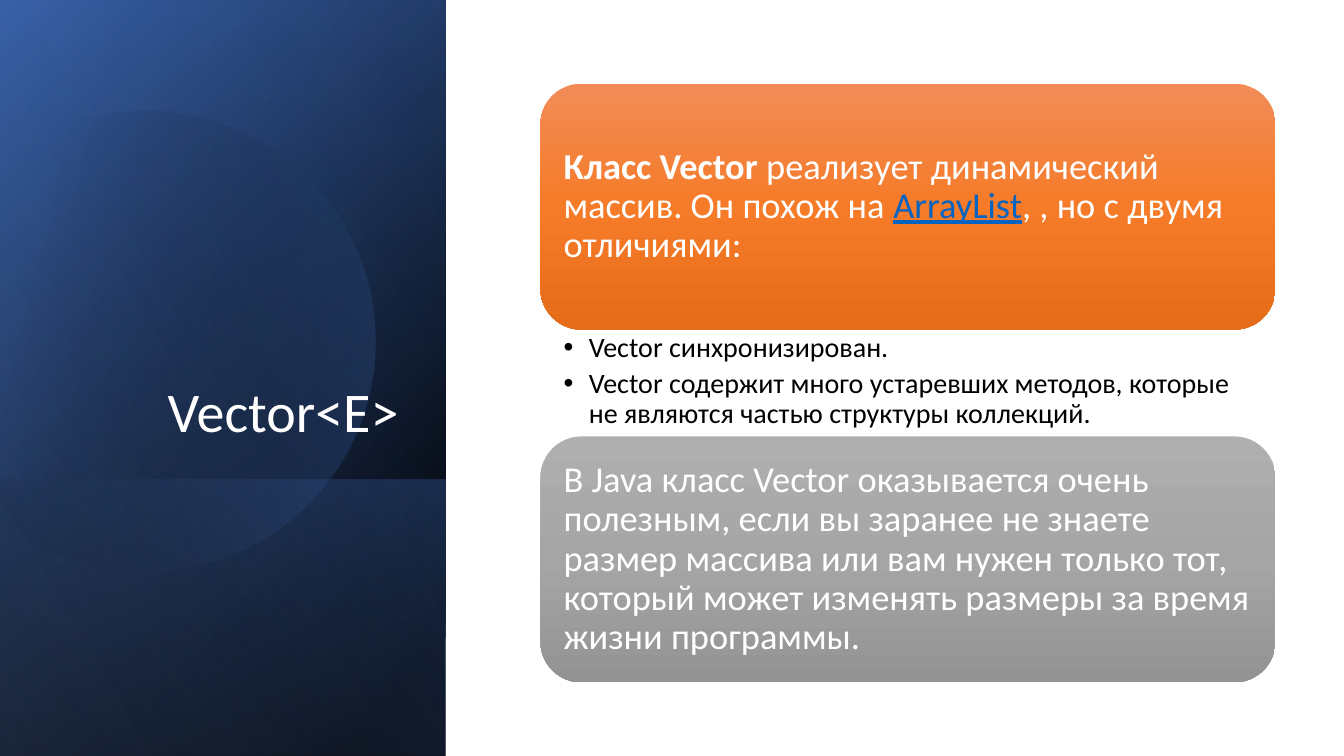
from math import cos, radians, sin

from lxml import etree
from pptx import Presentation
from pptx.dml.color import RGBColor
from pptx.enum.shapes import MSO_SHAPE
from pptx.enum.text import MSO_ANCHOR, PP_ALIGN
from pptx.oxml.ns import qn
from pptx.util import Inches, Pt

RECT, ROUND = MSO_SHAPE.RECTANGLE, MSO_SHAPE.ROUNDED_RECTANGLE
TOP, MIDDLE, BOTTOM = MSO_ANCHOR.TOP, MSO_ANCHOR.MIDDLE, MSO_ANCHOR.BOTTOM
LEFT, RIGHT = PP_ALIGN.LEFT, PP_ALIGN.RIGHT

BLACK = RGBColor(0x00, 0x00, 0x00)
WHITE = RGBColor(0xFF, 0xFF, 0xFF)
NAVY = RGBColor(0x2F, 0x55, 0x97)
BLUE = RGBColor(0x44, 0x72, 0xC4)
SKY = RGBColor(0x8F, 0xAA, 0xDC)
LINK = RGBColor(0x05, 0x63, 0xC1)
ORANGE = [(0, RGBColor(0xF1, 0x8C, 0x57), 100),
          (50, RGBColor(0xF6, 0x7B, 0x28), 100),
          (100, RGBColor(0xE5, 0x6C, 0x19), 100)]
GRAY = [(0, RGBColor(0xAF, 0xAF, 0xAF), 100),
        (50, RGBColor(0xA5, 0xA5, 0xA5), 100),
        (100, RGBColor(0x93, 0x93, 0x93), 100)]

PANELS = [
    ((-1.54, 1.54, 7.5, 4.42), [(8, BLACK, 100), (100, NAVY, 100)], 50),
    ((-1.54, 1.55, 7.5, 4.42), [(0, BLACK, 0), (99, BLUE, 46)], 30),
    ((0.84, 3.92, 2.74, 4.42), [(2, BLUE, 29), (100, BLACK, 30)], 130),
]
GLOW = ((-1.54, 1.54, 7.5, 4.42), [(0, BLACK, 0), (99, SKY, 11)], 120)

DISC = (-0.55, 1.06, 4.27, 4.57)
TILT = 343.9
RIM = [
    ("moveTo", [(1.49, 1.1)]),
    ("cubicBezTo", [(2.46, 1.12), (3.35, 1.77), (3.63, 2.75)]),
    ("cubicBezTo", [(3.98, 3.97), (3.28, 5.23), (2.07, 5.58)]),
    ("cubicBezTo", [(1.31, 5.8), (0.53, 5.61), (-0.03, 5.14)]),
    ("lnTo", [(-0.15, 5.03)]),
    ("lnTo", [(-0.15, 1.75)]),
    ("lnTo", [(0, 1.61)]),
    ("cubicBezTo", [(0.23, 1.42), (0.5, 1.28), (0.8, 1.19)]),
    ("cubicBezTo", [(1.03, 1.13), (1.26, 1.1), (1.49, 1.1)]),
    ("close", []),
]

INTRO = [[("Класс Vector ", {"bold": True}),
          ("реализует динамический массив. Он похож на ", {}),
          ("ArrayList", {"color": LINK, "under": True}),
          (", , но с двумя отличиями:", {})]]
POINTS = [[("Vector синхронизирован.", {})],
          [("Vector содержит много устаревших методов, которые "
            "не являются частью структуры коллекций.", {})]]
USAGE = [[("В Java класс Vector оказывается очень полезным, если вы заранее "
           "не знаете размер массива или вам нужен только тот, который может "
           "изменять размеры за время жизни программы.", {})]]


def write(frame, text, size=26, color=WHITE, align=LEFT, anchor=MIDDLE,
          inset=(0.11, 0.11, 0.11, 0.11), after=0, bullet=False):
    frame.word_wrap = True
    frame.vertical_anchor = anchor
    (frame.margin_left, frame.margin_top,
     frame.margin_right, frame.margin_bottom) = map(Inches, inset)
    for i, runs in enumerate(text):
        para = frame.add_paragraph() if i else frame.paragraphs[0]
        para.alignment = align
        para.line_spacing = 0.9
        para.space_after = Pt(after)
        if bullet:
            props = para._p.get_or_add_pPr()
            props.set("lvl", "1")
            props.set("marL", str(Inches(0.25)))
            props.set("indent", str(Inches(-0.25)))
            etree.SubElement(props, qn("a:buFont"), typeface="Arial")
            etree.SubElement(props, qn("a:buChar"), char="•")
        for words, look in runs:
            run = para.add_run()
            run.text = words
            font = run.font
            font.name = "Calibri"
            font.size = Pt(size)
            font.bold = look.get("bold", False)
            font.underline = look.get("under", False)
            font.color.rgb = look.get("color", color)


def place(point, box, angle):
    left, top, width, height = box
    dx, dy = point[0] - left - width / 2, point[1] - top - height / 2
    c, s = cos(radians(angle)), sin(radians(angle))
    return (Inches(width / 2 + dx * c + dy * s),
            Inches(height / 2 - dx * s + dy * c))


class Deck:
    def __init__(self):
        self.file = Presentation()
        self.file.slide_width = Inches(13.33)
        self.file.slide_height = Inches(7.5)
        self.slide = self.file.slides.add_slide(self.file.slide_layouts[6])
        self.shapes = self.slide.shapes

    def paint(self, shape, stops, angle):
        shape.shadow.inherit = False
        shape.line.fill.background()
        shape.fill.gradient()
        grad = shape._element.spPr.find(qn("a:gradFill"))
        for child in list(grad):
            grad.remove(child)
        grad.set("rotWithShape", "1")
        group = etree.SubElement(grad, qn("a:gsLst"))
        for spot, color, alpha in stops:
            stop = etree.SubElement(group, qn("a:gs"), pos=str(spot * 1000))
            tint = etree.SubElement(stop, qn("a:srgbClr"), val=str(color))
            if alpha < 100:
                etree.SubElement(tint, qn("a:alpha"), val=str(alpha * 1000))
        etree.SubElement(grad, qn("a:lin"), ang=str(angle * 60000), scaled="0")

    def panel(self, box, stops, angle):
        shape = self.shapes.add_shape(RECT, *map(Inches, box))
        shape.rotation = 90
        shape._element.spPr.find(qn("a:xfrm")).set("flipH", "1")
        self.paint(shape, stops, angle)

    def disc(self, box, rim, stops, angle):
        left, top, width, height = map(Inches, box)
        build = self.shapes.build_freeform(left, top)
        build.add_line_segments([(left + width, top),
                                 (left + width, top + height),
                                 (left, top + height)])
        shape = build.convert_to_shape()
        outline = next(shape._element.spPr.iter(qn("a:path")))
        for child in list(outline):
            outline.remove(child)
        for verb, points in rim:
            step = etree.SubElement(outline, qn("a:" + verb))
            for point in points:
                x, y = place(point, box, TILT)
                etree.SubElement(step, qn("a:pt"), x=str(x), y=str(y))
        shape.rotation = TILT
        self.paint(shape, stops, angle)

    def card(self, box, stops, text):
        shape = self.shapes.add_shape(ROUND, *map(Inches, box))
        self.paint(shape, stops, 90)
        left, top, width, height = box
        self.label((left + 0.12, top + 0.12, width - 0.24, height - 0.24), text)

    def label(self, box, text, **look):
        frame = self.shapes.add_textbox(*map(Inches, box)).text_frame
        write(frame, text, **look)


def main():
    deck = Deck()
    for panel in PANELS:
        deck.panel(*panel)
    deck.disc(DISC, RIM, [(29, BLACK, 0), (100, BLUE, 43)], 30)
    deck.panel(*GLOW)
    deck.label((0.64, 1.84, 3.41, 2.62), [[("Vector<E>", {})]], size=40,
               align=RIGHT, anchor=BOTTOM, inset=(0.1, 0.05, 0.1, 0.05))
    deck.card((5.36, 0.83, 7.29, 2.44), ORANGE, INTRO)
    deck.label((5.36, 3.27, 7.29, 1.06), POINTS, size=20, color=BLACK,
               anchor=TOP, inset=(0.23, 0.04, 0.2, 0.04), after=4, bullet=True)
    deck.card((5.36, 4.33, 7.29, 2.44), GRAY, USAGE)
    deck.file.save("out.pptx")


if __name__ == "__main__":
    main()
